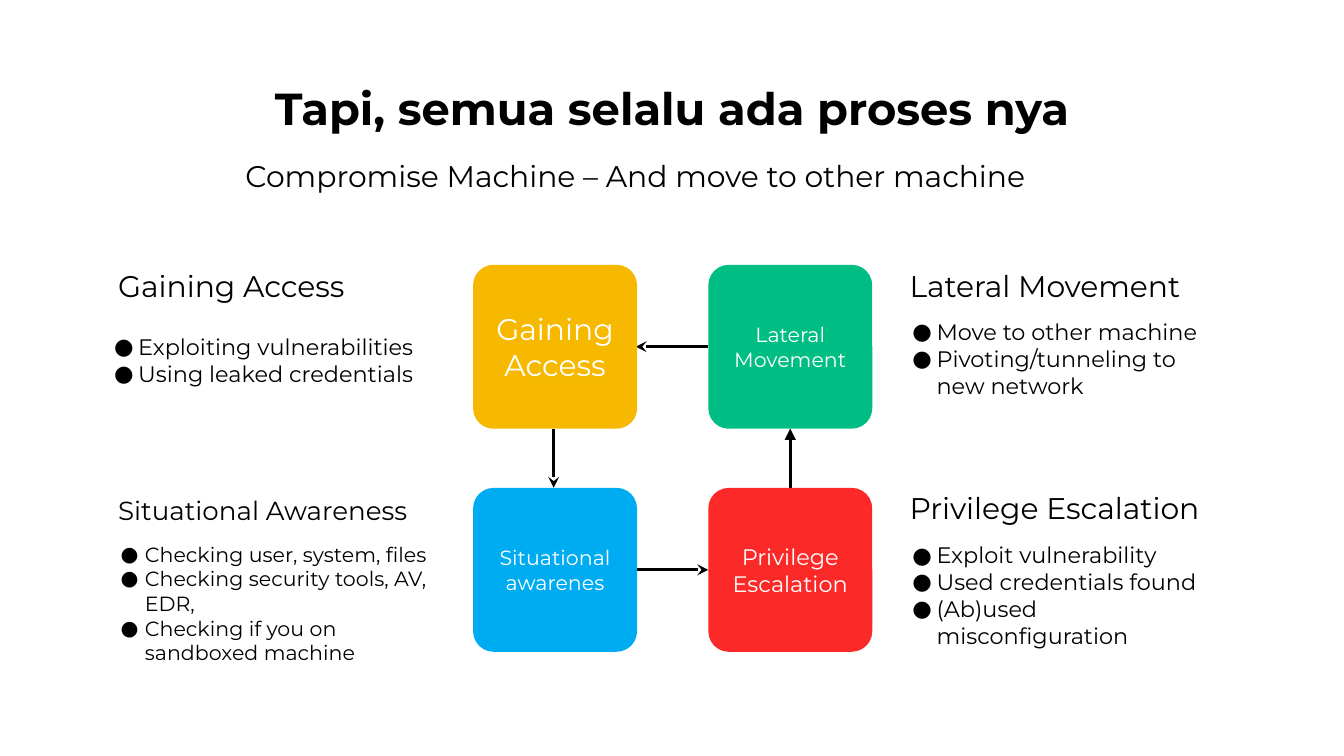
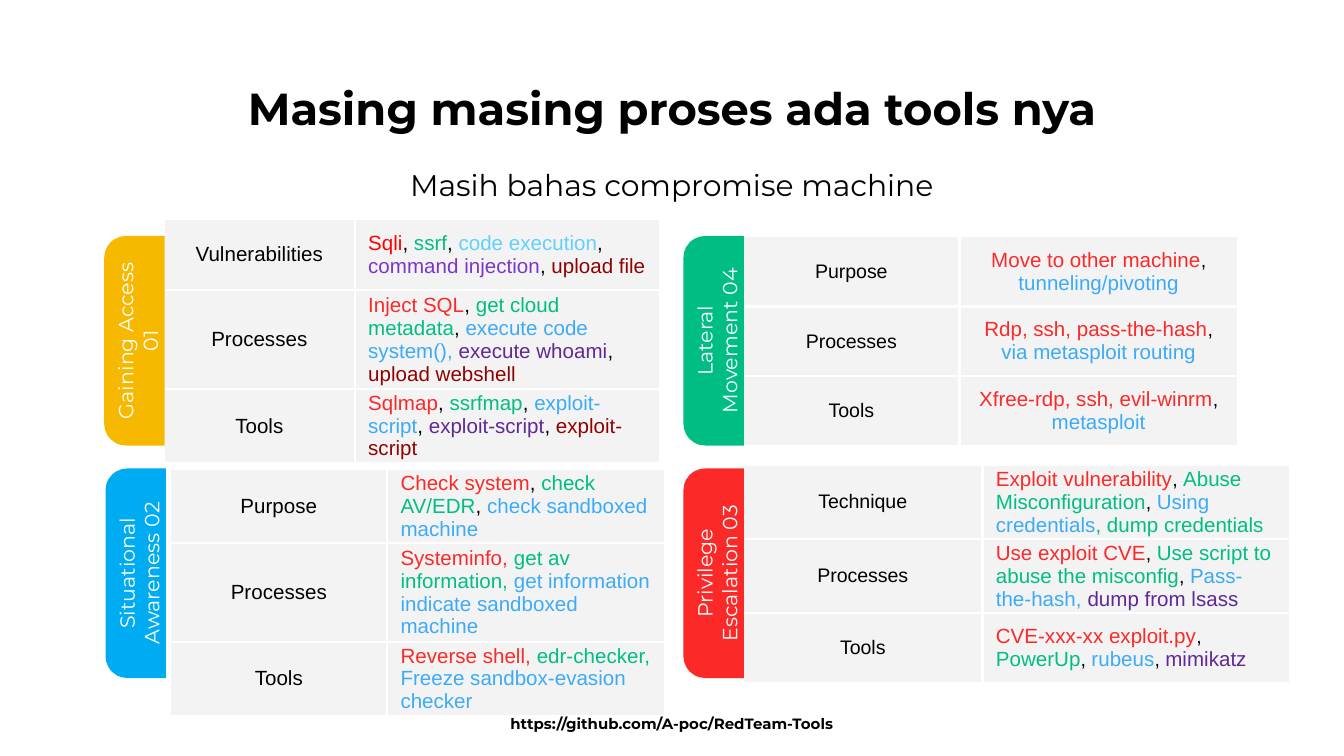
"""Build two slides about the steps and tools of compromising a machine."""
from lxml import etree
from pptx import Presentation
from pptx.dml.color import RGBColor
from pptx.enum.shapes import MSO_CONNECTOR, MSO_SHAPE
from pptx.enum.text import MSO_ANCHOR, PP_ALIGN
from pptx.oxml.ns import qn
from pptx.util import Inches, Pt

LEFT, CENTER = PP_ALIGN.LEFT, PP_ALIGN.CENTER
TOP, MIDDLE, BOTTOM = MSO_ANCHOR.TOP, MSO_ANCHOR.MIDDLE, MSO_ANCHOR.BOTTOM
STRAIGHT, ELBOW = MSO_CONNECTOR.STRAIGHT, MSO_CONNECTOR.ELBOW
ROUNDED, TAB = MSO_SHAPE.ROUNDED_RECTANGLE, MSO_SHAPE.ROUND_2_SAME_RECTANGLE
HEADING_FONT, TABLE_FONT = "Montserrat", "Arial"

COLORS = {
    "black": "000000", "white": "FFFFFF", "cell": "F3F3F3",
    "yellow": "F7B800", "green": "00BE83", "red": "FC2929", "blue": "00ACF1",
    "bright red": "FF0000", "light blue": "5ED1FF", "sky": "3CABF7",
    "violet": "7D37C5", "purple": "5E2994", "maroon": "900202",
}


def rgb(name):
    """Return the named colour."""
    return RGBColor.from_string(COLORS[name])


def add_node(parent, tag, **attributes):
    """Append a drawing element to the parent."""
    return etree.SubElement(parent, qn(tag), attributes)


def add_bullet(para):
    """Give the paragraph a hanging round bullet."""
    properties = para._p.get_or_add_pPr()
    properties.set("marL", str(Inches(0.2)))
    properties.set("indent", str(Inches(-0.18)))
    add_node(add_node(properties, "a:buClr"), "a:srgbClr", val=COLORS["black"])
    add_node(properties, "a:buFont", typeface=HEADING_FONT)
    add_node(properties, "a:buChar", char="●")


def write(frame, paragraphs, size=11, font=HEADING_FONT, color="black", bold=False,
          align=LEFT, bullets=False):
    """Fill a text frame with paragraphs given as strings or lists of (text, colour, size)."""
    for index, content in enumerate(paragraphs):
        para = frame.add_paragraph() if index else frame.paragraphs[0]
        para.alignment = align
        if bullets:
            add_bullet(para)
        spans = [(content, color, size)] if isinstance(content, str) else content
        for text, span_color, span_size in spans:
            span = para.add_run()
            span.text = text
            span.font.name = font
            span.font.size = Pt(span_size)
            span.font.bold = bold
            span.font.color.rgb = rgb(span_color)


def join_items(items, comma_size):
    """Put black commas between coloured items that bring none of their own."""
    spans = []
    for text, color in items:
        if spans and not spans[-1][0].endswith(", ") and not text.startswith(","):
            spans.append((", ", "black", comma_size))
        spans.append((text, color, 11))
    return spans


class SlideWriter:
    """Hold the deck style and the current page."""

    def __init__(self):
        """Start an empty widescreen deck."""
        self.deck = Presentation()
        self.deck.slide_width = Inches(10)
        self.deck.slide_height = Inches(10) * 9 // 16
        self.page = None

    def start_page(self, title, subtitle, subtitle_left, subtitle_top):
        """Add a blank page with its title and subtitle."""
        self.page = self.deck.slides.add_slide(self.deck.slide_layouts[6])
        self.text([title], 0.78, 0.5, 8.44, 0.6, size=24, bold=True, align=CENTER)
        self.text([subtitle], subtitle_left, subtitle_top, 8.44, 0.42, size=16,
                  align=CENTER, anchor=MIDDLE)

    def text(self, paragraphs, left, top, width, height, **style):
        """Add a text box."""
        box = self.page.shapes.add_textbox(*map(Inches, (left, top, width, height)))
        self.fill_frame(box.text_frame, paragraphs, **style)

    def fill_frame(self, frame, paragraphs, anchor=TOP, **style):
        """Set wrapping, anchor and even margins, then write the text."""
        frame.word_wrap = True
        frame.vertical_anchor = anchor
        frame.margin_left = frame.margin_right = Inches(0.1)
        frame.margin_top = frame.margin_bottom = Inches(0.1)
        write(frame, paragraphs, **style)

    def block(self, kind, label, fill, left, top, width, height, adjustments,
              rotation=0, size=11):
        """Add a filled shape with a centred white label."""
        box = self.page.shapes.add_shape(kind, *map(Inches, (left, top, width, height)))
        for index, value in enumerate(adjustments):
            box.adjustments[index] = value
        box.rotation = rotation
        box.shadow.inherit = False
        box.fill.solid()
        box.fill.fore_color.rgb = rgb(fill)
        box.line.fill.background()
        self.fill_frame(box.text_frame, [label], size=size, color="white",
                        align=CENTER, anchor=MIDDLE)

    def arrow(self, start, end, kind=STRAIGHT, tip="a:tailEnd", style="stealth"):
        """Add a black connector with one arrowhead."""
        line = self.page.shapes.add_connector(kind, *map(Inches, (*start, *end)))
        line.line.color.rgb = rgb("black")
        line.line.width = Pt(1.5)
        add_node(line.line._get_or_add_ln(), tip, type=style)
        add_node(line._element.spPr, "a:effectLst")

    def table(self, left, top, height, widths, heights, rows, label_size=11, align=LEFT):
        """Add a two-column table of labels and coloured items."""
        frame = self.page.shapes.add_table(
            len(rows), 2, *map(Inches, (left, top, sum(widths), height)))
        grid = frame.table
        grid.first_row = grid.horz_banding = False
        for column, width in zip(grid.columns, widths):
            column.width = Inches(width)
        for index, (label, items) in enumerate(rows):
            grid.rows[index].height = Inches(heights[index])
            edges = ["a:lnT"] * (index > 0) + ["a:lnB"] * (index < len(rows) - 1)
            self.cell(grid.cell(index, 0), label, ["a:lnR"] + edges, label_size, CENTER)
            self.cell(grid.cell(index, 1), join_items(items, label_size),
                      ["a:lnL"] + edges, label_size, align)
        frame.height = Inches(height)

    def cell(self, cell, content, edges, size, align):
        """Format one table cell with white inner borders."""
        properties = cell._tc.get_or_add_tcPr()
        for edge in edges:
            border = add_node(properties, edge, w=str(Pt(1.5)))
            add_node(add_node(border, "a:solidFill"), "a:srgbClr", val=COLORS["white"])
        cell.fill.solid()
        cell.fill.fore_color.rgb = rgb("cell")
        cell.margin_left = cell.margin_right = Inches(0.1)
        cell.margin_top = cell.margin_bottom = 0
        cell.vertical_anchor = MIDDLE
        write(cell.text_frame, [content], size=size, font=TABLE_FONT, align=align)


def build_process_page(writer):
    """Show the four steps as a cycle with notes at both sides."""
    writer.start_page("Tapi, semua selalu ada proses nya",
                      "Compromise Machine – And move to other machine", 0.51, 1.1)
    writer.arrow((4.73, 2.58), (5.27, 2.58), ELBOW, tip="a:headEnd")
    writer.arrow((4.73, 4.24), (5.27, 4.24), ELBOW)
    writer.arrow((4.12, 3.19), (4.12, 3.63))
    writer.arrow((5.88, 3.63), (5.88, 3.19), style="triangle")
    steps = [
        ("Gaining Access", "yellow", 3.52, 1.97, 16),
        ("Lateral Movement", "green", 5.27, 1.97, 11),
        ("Privilege Escalation", "red", 5.27, 3.63, 12),
        ("Situational awarenes", "blue", 3.52, 3.63, 11),
    ]
    for label, fill, left, top, size in steps:
        writer.block(ROUNDED, label, fill, left, top, 1.22, 1.22, [0.125], size=size)
    notes = [
        ("Lateral Movement", 6.67, 2, 16, (6.67, 2.27, 2.55, 0.92), 12,
         ["Move to other machine", "Pivoting/tunneling to new network"]),
        ("Privilege Escalation", 6.67, 3.65, 16, (6.67, 3.93, 2.55, 0.92), 12,
         ["Exploit vulnerability", "Used credentials found", "(Ab)used misconfiguration"]),
        ("Gaining Access", 0.78, 2, 16, (0.73, 2.38, 2.55, 0.92), 12,
         ["Exploiting vulnerabilities", "Using leaked credentials"]),
        ("Situational Awareness", 0.78, 3.65, 14, (0.78, 3.93, 2.5, 1.2), 11,
         ["Checking user, system, files", "Checking security tools, AV, EDR,",
          "Checking if you on sandboxed machine"]),
    ]
    for heading, left, top, heading_size, place, size, points in notes:
        writer.text([heading], left, top, 2.55, 0.36, size=heading_size, anchor=BOTTOM)
        writer.text(points, *place, size=size, bullets=True)


def build_tools_page(writer):
    """List the processes and tools of each step."""
    writer.start_page("Masing masing proses ada tools nya",
                      "Masih bahas compromise machine", 0.78, 1.16)
    even_rows = [0.52] * 3
    writer.table(5.53, 3.46, 1.62, [1.78, 2.29], even_rows, [
        ("Technique", [("Exploit vulnerability", "red"), ("Abuse Misconfiguration", "green"),
                       ("Using credentials", "sky"), (", dump credentials", "green")]),
        ("Processes", [("Use exploit CVE", "red"),
                       ("Use script to abuse the misconfig", "green"),
                       ("Pass-the-hash, ", "sky"), ("dump from lsass", "purple")]),
        ("Tools", [("CVE-xxx-xx exploit.py", "red"), ("PowerUp", "green"),
                   ("rubeus", "sky"), ("mimikatz", "purple")]),
    ], label_size=10.5)
    writer.table(1.27, 3.49, 1.83, [1.61, 2.07], even_rows, [
        ("Purpose", [("Check system", "red"), ("check AV/EDR", "green"),
                     ("check sandboxed machine", "sky")]),
        ("Processes", [("Systeminfo, ", "red"), ("get av information, ", "green"),
                       ("get information indicate sandboxed machine", "sky")]),
        ("Tools", [("Reverse shell, ", "red"), ("edr-checker, ", "green"),
                   ("Freeze sandbox-evasion checker", "sky")]),
    ])
    writer.table(5.53, 1.76, 1.56, [1.61, 2.07], even_rows, [
        ("Purpose", [("Move to other machine", "red"), ("tunneling/pivoting", "sky")]),
        ("Processes", [("Rdp, ssh, pass-the-hash", "red"),
                       ("via metasploit routing", "sky")]),
        ("Tools", [("Xfree-rdp, ssh, evil-winrm", "red"), ("metasploit", "sky")]),
    ], label_size=10.5, align=CENTER)
    writer.table(1.22, 1.63, 1.81, [1.42, 2.27], [0.53, 0.52, 0.5], [
        ("Vulnerabilities", [("Sqli", "bright red"), ("ssrf", "green"),
                             ("code execution", "light blue"),
                             ("command injection", "violet"), ("upload file", "maroon")]),
        ("Processes", [("Inject SQL", "red"), ("get cloud metadata", "green"),
                       ("execute code system(), ", "sky"), ("execute whoami", "purple"),
                       ("upload webshell", "maroon")]),
        ("Tools", [("Sqlmap", "red"), ("ssrfmap", "green"), ("exploit-script", "sky"),
                   ("exploit-script", "purple"), ("exploit-script", "maroon")]),
    ])
    tabs = [
        ("Gaining Access 01", "yellow", 0.22, 2.31),
        ("Situational Awareness 02", "blue", 0.23, 4.04),
        ("Privilege Escalation 03", "red", 4.53, 4.04),
        ("Lateral Movement 04", "green", 4.53, 2.31),
    ]
    for label, fill, left, top in tabs:
        writer.block(TAB, label, fill, left, top, 1.56, 0.45, [0.36, 0], rotation=270)
    writer.text(["https://github.com/A-poc/RedTeam-Tools"], 3.36, 5.29, 3.28, 0.18,
                size=8, bold=True, align=CENTER, anchor=MIDDLE)


def main():
    """Build and save the deck."""
    writer = SlideWriter()
    build_process_page(writer)
    build_tools_page(writer)
    writer.deck.save("out.pptx")


if __name__ == "__main__":
    main()
